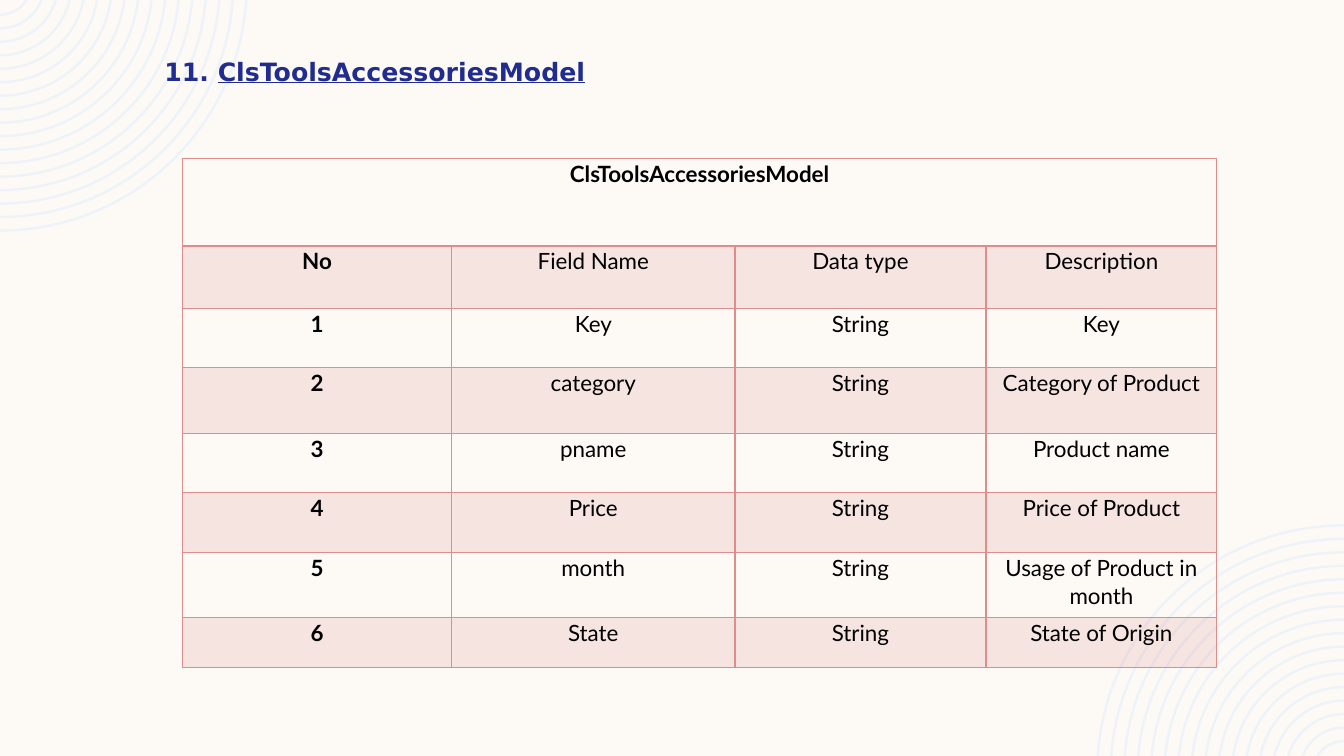
from dataclasses import dataclass
from math import asin, cos, pi, sin, tan

from lxml import etree
from pptx import Presentation
from pptx import util as u
from pptx.dml.color import RGBColor
from pptx.enum import text
from pptx.oxml.ns import qn


@dataclass(frozen=True)
class Theme:
    paper: str = "FDFAF6"
    ripple: str = "EEF3FA"
    heading: str = "202C8F"
    ink: str = "000000"
    rose: str = "DE8C8C"
    band_alpha: int = 20
    heading_font: str = "DejaVu Sans"
    table_font: str = "Lato"
    heading_size: int = 18
    table_size: int = 16


@dataclass(frozen=True)
class Ripple:
    """Quarter rings around a centre; direction 1 opens down-right, -1 up-left."""
    x: float
    y: float
    direction: int


@dataclass(frozen=True)
class Field:
    number: str
    name: str
    kind: str
    description: str


Point = tuple[int, int]

THEME = Theme()
WIDTH, HEIGHT = 13.33, 7.5
MODEL = "ClsToolsAccessoriesModel"

OVERHANG = 0.16  # distance of each ripple centre beyond the slide edge
RIPPLES = (Ripple(0, -OVERHANG, 1), Ripple(WIDTH, HEIGHT + OVERHANG, -1))
RING_COUNT, INNER_RADIUS, OUTER_RADIUS, RING_WIDTH = 17, 0.32, 2.46, 0.025

COLUMN_WIDTHS = (2.67, 2.81, 2.49, 2.29)
ROW_HEIGHTS = (0.87, 0.62, 0.59, 0.65, 0.59, 0.59, 0.65, 0.49)
FIELDS = (
    Field("No", "Field Name", "Data type", "Description"),
    Field("1", "Key", "String", "Key"),
    Field("2", "category", "String", "Category of Product"),
    Field("3", "pname", "String", "Product name"),
    Field("4", "Price", "String", "Price of Product"),
    Field("5", "month", "String", "Usage of Product in month"),
    Field("6", "State", "String", "State of Origin"),
)


def color(value: str) -> RGBColor:
    return RGBColor.from_string(value)


def apply(target, values: dict) -> None:
    for key, value in values.items():
        setattr(target, key, value)


def write(paragraph, words: str, align, tint: str, **font) -> None:
    apply(paragraph, {"alignment": align, "line_spacing": 1.07,
                      "space_before": u.Pt(0), "space_after": u.Pt(8)})
    run = paragraph.add_run()
    run.text = words
    apply(run.font, font)
    run.font.color.rgb = color(tint)


def arc(ripple: Ripple, radius: float) -> list[Point]:
    """Bezier points from the slide's horizontal edge to its vertical edge."""
    start = asin(OVERHANG / radius)
    pull = 4 / 3 * tan((pi / 2 - start) / 4)
    offsets = ((cos(start), sin(start)),
               (cos(start) - pull * sin(start), sin(start) + pull * cos(start)),
               (pull, 1), (0, 1))
    reach = ripple.direction * radius
    return [(u.Inches(ripple.x + reach * dx), u.Inches(ripple.y + reach * dy))
            for dx, dy in offsets]


def bend(line, controls: list[Point], left: int, top: int) -> None:
    """Turn a straight path segment into a curve."""
    curve = etree.Element(qn("a:cubicBezTo"))
    for x, y in controls:
        etree.SubElement(curve, qn("a:pt"), x=str(x - left), y=str(y - top))
    line.getparent().replace(line, curve)
    curve.append(line[0])


def draw_ripple(slide, ripple: Ripple) -> None:
    step = (OUTER_RADIUS - INNER_RADIUS) / (RING_COUNT - 1)
    radii = [OUTER_RADIUS - ring * step for ring in range(RING_COUNT)]
    edges = [(arc(ripple, radius), arc(ripple, radius - RING_WIDTH)[::-1])
             for radius in radii]
    builder = slide.shapes.build_freeform(*edges[0][0][0])
    for ring, (outer, inner) in enumerate(edges):
        if ring:
            builder.move_to(*outer[0])
        builder.add_line_segments([outer[-1], inner[0], inner[-1]], close=True)
    rings = builder.convert_to_shape()
    lines = list(rings._element.iter(qn("a:lnTo")))
    for ring, (outer, inner) in enumerate(edges):
        for line, edge in ((lines[3 * ring], outer), (lines[3 * ring + 2], inner)):
            bend(line, edge[1:3], rings.left, rings.top)
    rings.shadow.inherit = False
    rings.fill.solid()
    rings.fill.fore_color.rgb = color(THEME.ripple)
    rings.line.fill.background()


def draw_heading(slide) -> None:
    heading = slide.shapes.title
    slide.shapes._spTree.append(heading._element)  # in front of the ripples
    apply(heading, {"left": u.Inches(1.53), "top": u.Inches(0.49),
                    "width": u.Inches(6.67), "height": u.Inches(0.41)})
    apply(heading.text_frame, {"word_wrap": True,
                               "vertical_anchor": text.MSO_ANCHOR.TOP,
                               "auto_size": text.MSO_AUTO_SIZE.SHAPE_TO_FIT_TEXT})
    for words, underline in (("11. ", False), (MODEL, True)):
        write(heading.text_frame.paragraphs[0], words, text.PP_ALIGN.LEFT,
              THEME.heading, name=THEME.heading_font,
              size=u.Pt(THEME.heading_size), bold=True, underline=underline)


def style_cell(cell, banded: bool, bottom: float) -> None:
    apply(cell, {"margin_left": u.Inches(0.07), "margin_right": u.Inches(0.07),
                 "margin_top": 0, "margin_bottom": 0})
    properties = cell._tc.get_or_add_tcPr()
    if banded:
        cell.fill.solid()
        cell.fill.fore_color.rgb = color(THEME.rose)
        tint = properties.find(".//" + qn("a:srgbClr"))
        etree.SubElement(tint, qn("a:alpha"), val=str(THEME.band_alpha * 1000))
    else:
        cell.fill.background()
    sides = {"a:lnL": 1, "a:lnR": 1, "a:lnT": 1, "a:lnB": bottom}
    for place, (side, points) in enumerate(sides.items()):
        border = etree.Element(qn(side), w=str(u.Pt(points)))
        fill = etree.SubElement(border, qn("a:solidFill"))
        etree.SubElement(fill, qn("a:srgbClr"), val=THEME.rose)
        properties.insert(place, border)


def draw_fields(slide) -> None:
    table = slide.shapes.add_table(
        len(ROW_HEIGHTS), len(COLUMN_WIDTHS), u.Inches(1.81), u.Inches(1.57),
        u.Inches(sum(COLUMN_WIDTHS)), u.Inches(sum(ROW_HEIGHTS))).table
    apply(table, {"first_row": False, "horz_banding": False})
    for column, width in zip(table.columns, COLUMN_WIDTHS):
        column.width = u.Inches(width)
    for row, height in zip(table.rows, ROW_HEIGHTS):
        row.height = u.Inches(height)
    table.cell(0, 0).merge(table.cell(0, len(COLUMN_WIDTHS) - 1))

    rows = [(MODEL,)] + [(f.number, f.name, f.kind, f.description) for f in FIELDS]
    for r, words in enumerate(rows):
        for c in range(len(COLUMN_WIDTHS)):
            cell = table.cell(r, c)
            style_cell(cell, banded=r % 2 == 1, bottom=2 if r == 0 else 1)
            if not cell.is_spanned:
                write(cell.text_frame.paragraphs[0], words[c], text.PP_ALIGN.CENTER,
                      THEME.ink, name=THEME.table_font,
                      size=u.Pt(THEME.table_size), bold=c == 0)


def main() -> None:
    deck = Presentation()
    apply(deck, {"slide_width": u.Inches(WIDTH), "slide_height": u.Inches(HEIGHT)})
    slide = deck.slides.add_slide(deck.slide_layouts.get_by_name("Title Only"))
    slide.background.fill.solid()
    slide.background.fill.fore_color.rgb = color(THEME.paper)
    for ripple in RIPPLES:
        draw_ripple(slide, ripple)
    draw_heading(slide)
    draw_fields(slide)
    deck.save("out.pptx")


if __name__ == "__main__":
    main()
